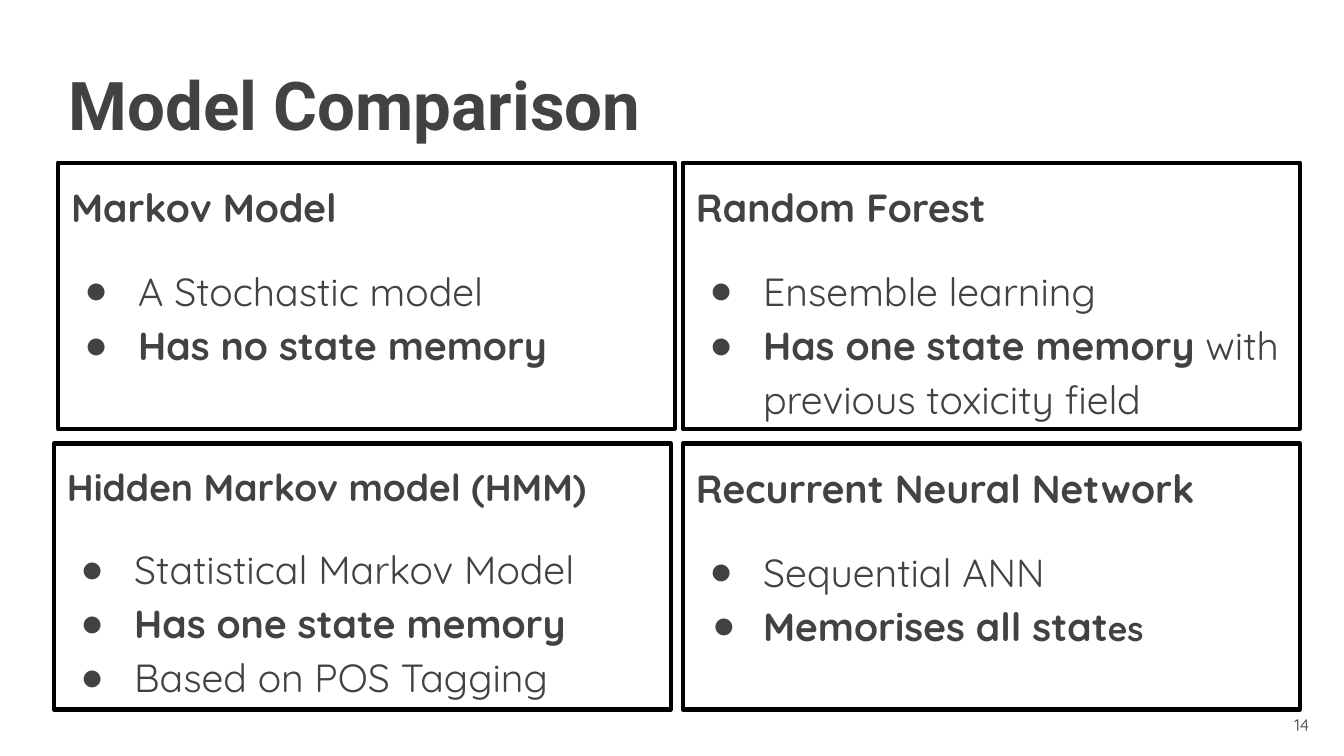
import pptx
import pptx.dml.color
import pptx.enum.shapes
import pptx.enum.text
import pptx.oxml
import pptx.oxml.ns
import pptx.util
from pptx.util import Inches, Pt

TITLE = "Model Comparison"
PAGE_NUMBER = "14"

# Each point is a list of (text, format) spans.
LIGHT, STRONG = {"bold": False}, {"bold": True}
MODELS = [
    {"name": "Markov Model", "at": (0.43, 1.21), "points": [
        [("A Stochastic model", LIGHT)],
        [("Has no state memory", STRONG)]]},
    {"name": "Random Forest", "at": (5.08, 1.21), "points": [
        [("Ensemble learning", LIGHT)],
        [("Has one state memory", STRONG), (" with previous toxicity field", LIGHT)]]},
    {"name": "Recurrent Neural Network", "at": (5.08, 3.3), "last_hanging": 0.38, "points": [
        [("Sequential ANN", LIGHT)],
        [("Memorises all stat", STRONG), ("es", {"bold": True, "size": 18})]]},
    {"name": "Hidden Markov model (HMM)", "at": (0.4, 3.3), "name_size": 20, "points": [
        [("Statistical Markov Model", LIGHT)],
        [("Has one state memory", STRONG)],
        [("Based on POS Tagging", LIGHT)]]},
]
BOX_SIZE = (4.59, 1.98)

THEME = {
    "ink": "424242", "frame": "000000", "paper": "FFFFFF",
    "title_font": "Roboto", "body_font": "Quicksand", "bullet_font": "Arial",
    "title_size": 36, "body_size": 21, "number_size": 9,
    "frame_width": 2.25, "line_spacing": 1.15, "list_gap": 16,
    "margin": 0.1, "indent": 0.5, "hanging": 0.4,
}


def rgb(name):
    return pptx.dml.color.RGBColor.from_string(THEME[name])


def set_all(target, values):
    for name, value in values.items():
        setattr(target, name, value)


def prepare_frame(shape, anchor):
    frame = shape.text_frame
    margin = Inches(THEME["margin"])
    set_all(frame, {"word_wrap": True, "vertical_anchor": anchor,
                    "auto_size": pptx.enum.text.MSO_AUTO_SIZE.NONE,
                    "margin_left": margin, "margin_right": margin,
                    "margin_top": margin, "margin_bottom": margin})
    return frame


def add_span(para, text, size, bold=False, font="body_font"):
    span = para.add_run()
    span.text = text
    set_all(span.font, {"name": THEME[font], "size": Pt(size), "bold": bold})
    span.font.color.rgb = rgb("ink")


def add_bullet(para, hanging):
    properties = para._p.get_or_add_pPr()
    properties.set("marL", str(Inches(THEME["indent"])))
    properties.set("indent", str(-Inches(hanging)))
    namespace = pptx.oxml.ns.nsdecls("a")
    for xml in (
        f'<a:buClr {namespace}><a:srgbClr val="{THEME["ink"]}"/></a:buClr>',
        f'<a:buFont {namespace} typeface="{THEME["bullet_font"]}"/>',
        f'<a:buChar {namespace} char="●"/>',
    ):
        properties.append(pptx.oxml.parse_xml(xml))


def add_model(page, model):
    box = page.shapes.add_shape(pptx.enum.shapes.MSO_SHAPE.RECTANGLE,
                                *map(Inches, model["at"] + BOX_SIZE))
    box.shadow.inherit = False
    box.fill.background()
    box.line.color.rgb = rgb("frame")
    box.line.width = Pt(THEME["frame_width"])
    frame = prepare_frame(box, pptx.enum.text.MSO_ANCHOR.TOP)
    layout = {"alignment": pptx.enum.text.PP_ALIGN.LEFT,
              "line_spacing": THEME["line_spacing"]}

    heading = frame.paragraphs[0]
    set_all(heading, layout)
    add_span(heading, model["name"], model.get("name_size", THEME["body_size"]), True)
    last = len(model["points"]) - 1
    for index, point in enumerate(model["points"]):
        para = frame.add_paragraph()
        set_all(para, layout)
        para.space_before = Pt(0 if index else THEME["list_gap"])
        hanging = THEME["hanging"]
        add_bullet(para, model.get("last_hanging", hanging) if index == last else hanging)
        for text, style in point:
            add_span(para, text, **{"size": THEME["body_size"], **style})


def main():
    deck = pptx.Presentation()
    deck.slide_width = Inches(10)
    deck.slide_height = deck.slide_width * 9 // 16
    page = deck.slides.add_slide(deck.slide_layouts[5])
    page.background.fill.solid()
    page.background.fill.fore_color.rgb = rgb("paper")

    title = page.shapes.title
    set_all(title, {"left": Inches(0.41), "top": Inches(0.37),
                    "width": Inches(5.63), "height": Inches(0.73)})
    para = prepare_frame(title, pptx.enum.text.MSO_ANCHOR.TOP).paragraphs[0]
    para.alignment = pptx.enum.text.PP_ALIGN.LEFT
    add_span(para, TITLE, THEME["title_size"], True, "title_font")

    for model in MODELS:
        add_model(page, model)

    number = page.shapes.add_textbox(*map(Inches, (9.24, 5.18, 0.6, 0.43)))
    para = prepare_frame(number, pptx.enum.text.MSO_ANCHOR.MIDDLE).paragraphs[0]
    para.alignment = pptx.enum.text.PP_ALIGN.RIGHT
    add_span(para, PAGE_NUMBER, THEME["number_size"])

    deck.save("out.pptx")


if __name__ == "__main__":
    main()
